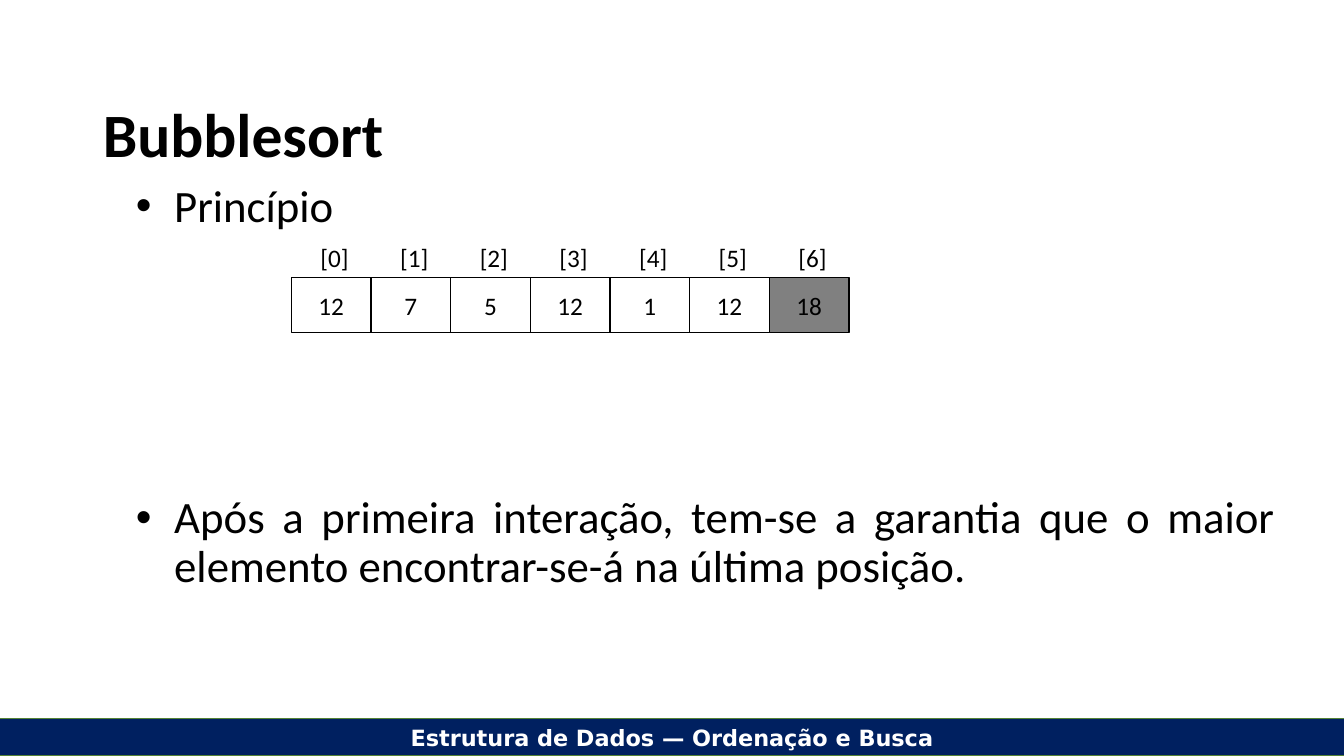
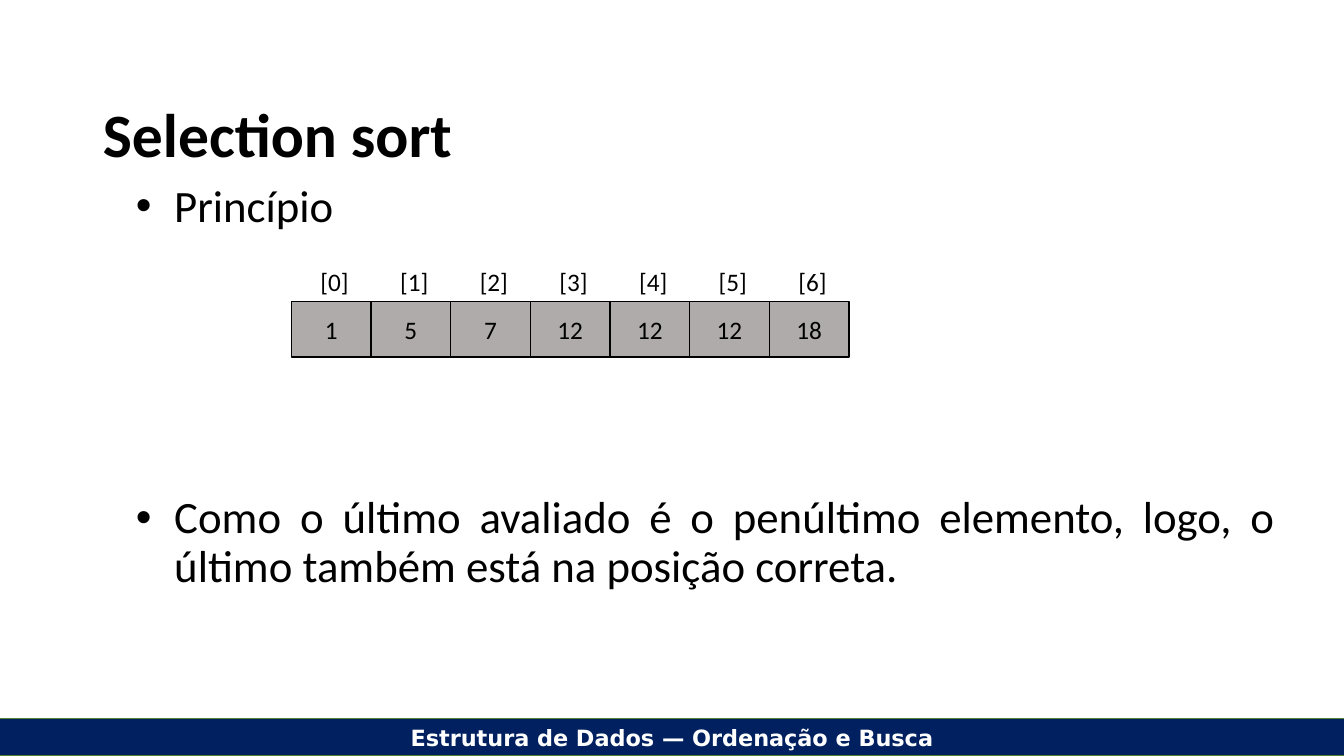
from dataclasses import dataclass
from typing import Any

from lxml import etree
from pptx import Presentation
from pptx.dml import color
from pptx.enum import shapes, text
from pptx.oxml import ns
from pptx.util import Inches, Pt

BLACK, WHITE = "000000", "FFFFFF"
NAVY, GREEN = "002060", "548235"
DARK_GREY, LIGHT_GREY = "808080", "AFABAB"

TITLE_FORMAT = {"name": "Calibri", "size": Pt(44), "bold": True}
BODY_FORMAT = {"name": "Calibri", "size": Pt(32)}
ARRAY_FORMAT = {"name": "Calibri", "size": Pt(18)}
FOOTER_FORMAT = {"name": "DejaVu Sans", "size": Pt(16), "bold": True}

FOOTER = "Estrutura de Dados — Ordenação e Busca"
ARRAY_LEFT, CELL_WIDTH, CELL_HEIGHT = 2.89, 0.79, 0.55
INDEX_LEFT, INDEX_WIDTH, INDEX_HEIGHT = 3.08, 0.48, 0.4
BULLET_INDENT = 0.38
CONCLUSION_GAP = 188


@dataclass(frozen=True)
class SortStep:
    title: str
    values: tuple[int, ...]
    sorted_from: int
    sorted_fill: str
    array_top: float
    conclusion: str


STEPS = (
    SortStep(
        "Bubblesort", (12, 7, 5, 12, 1, 12, 18), 6, DARK_GREY, 2.75,
        "Após a primeira interação, tem-se a garantia que o maior elemento "
        "encontrar-se-á na última posição.",
    ),
    SortStep(
        "Selection sort", (1, 5, 7, 12, 12, 12, 18), 0, LIGHT_GREY, 2.99,
        "Como o último avaliado é o penúltimo elemento, logo, o último "
        "também está na posição correta.",
    ),
)


def rgb(value: str) -> color.RGBColor:
    return color.RGBColor.from_string(value)


def box(left: float, top: float, width: float, height: float) -> tuple[int, ...]:
    return tuple(Inches(length) for length in (left, top, width, height))


def write(paragraph: Any, words: str, formats: dict[str, Any],
          ink: str = BLACK, align: Any = text.PP_ALIGN.LEFT) -> None:
    paragraph.alignment = align
    run = paragraph.add_run()
    run.text = words
    for attribute, value in formats.items():
        setattr(run.font, attribute, value)
    run.font.color.rgb = rgb(ink)


def add_rectangle(parent: Any, place: tuple[int, ...], words: str,
                  formats: dict[str, Any], fill: str | None, outline: str,
                  weight: float, ink: str) -> Any:
    rectangle = parent.add_shape(shapes.MSO_SHAPE.RECTANGLE, *place)
    rectangle.shadow.inherit = False
    if fill is None:
        rectangle.fill.background()
    else:
        rectangle.fill.solid()
        rectangle.fill.fore_color.rgb = rgb(fill)
    rectangle.line.color.rgb = rgb(outline)
    rectangle.line.width = Pt(weight)
    frame = rectangle.text_frame
    frame.vertical_anchor = text.MSO_ANCHOR.MIDDLE
    write(frame.paragraphs[0], words, formats, ink, text.PP_ALIGN.CENTER)
    return rectangle


def add_master_footer(prs: Any, slide: Any) -> None:
    band = add_rectangle(slide.shapes, box(-0.01, 7.13, 13.35, 0.37), FOOTER,
                         FOOTER_FORMAT, NAVY, GREEN, 0.75, WHITE)
    prs.slide_master.element.cSld.spTree.append(band.element)


def set_title(slide: Any, words: str) -> None:
    title = slide.shapes.title
    title.left, title.top, title.width, title.height = box(0.92, 0.96, 11.5, 0.81)
    frame = title.text_frame
    frame.auto_size = text.MSO_AUTO_SIZE.NONE
    frame.vertical_anchor = text.MSO_ANCHOR.MIDDLE
    frame.paragraphs[0].line_spacing = 0.9
    write(frame.paragraphs[0], words, TITLE_FORMAT)


def write_bullet(paragraph: Any, words: str, gap: float) -> None:
    properties = paragraph._p.get_or_add_pPr()
    properties.set("marL", str(Inches(BULLET_INDENT)))
    properties.set("indent", str(-Inches(BULLET_INDENT)))
    etree.SubElement(properties, ns.qn("a:buFont"), typeface="Arial")
    etree.SubElement(properties, ns.qn("a:buChar"), char="•")
    paragraph.line_spacing = 0.9
    paragraph.space_before = Pt(gap)
    write(paragraph, words, BODY_FORMAT, align=text.PP_ALIGN.JUSTIFY)


def add_body(slide: Any, conclusion: str) -> None:
    frame = slide.shapes.add_textbox(*box(1.25, 1.77, 11.5, 4.91)).text_frame
    frame.word_wrap = True
    write_bullet(frame.paragraphs[0], "Princípio", 0)
    write_bullet(frame.add_paragraph(), conclusion, CONCLUSION_GAP)


def add_array(slide: Any, step: SortStep) -> None:
    array = slide.shapes.add_group_shape().shapes
    for index, value in enumerate(step.values):
        offset = index * CELL_WIDTH
        fill = step.sorted_fill if index >= step.sorted_from else None
        cell = box(ARRAY_LEFT + offset, step.array_top, CELL_WIDTH, CELL_HEIGHT)
        add_rectangle(array, cell, str(value), ARRAY_FORMAT, fill, BLACK, 1, BLACK)
        label = array.add_textbox(*box(
            INDEX_LEFT + offset, step.array_top - INDEX_HEIGHT,
            INDEX_WIDTH, INDEX_HEIGHT))
        label.text_frame.word_wrap = False
        write(label.text_frame.paragraphs[0], f"[{index}]", ARRAY_FORMAT)


def main() -> None:
    prs = Presentation()
    prs.slide_width, prs.slide_height = Inches(13.33), Inches(7.5)
    title_only = prs.slide_layouts.get_by_name("Title Only")
    for step in STEPS:
        slide = prs.slides.add_slide(title_only)
        set_title(slide, step.title)
        add_body(slide, step.conclusion)
        add_array(slide, step)
    add_master_footer(prs, prs.slides[0])
    prs.save("out.pptx")


if __name__ == "__main__":
    main()
